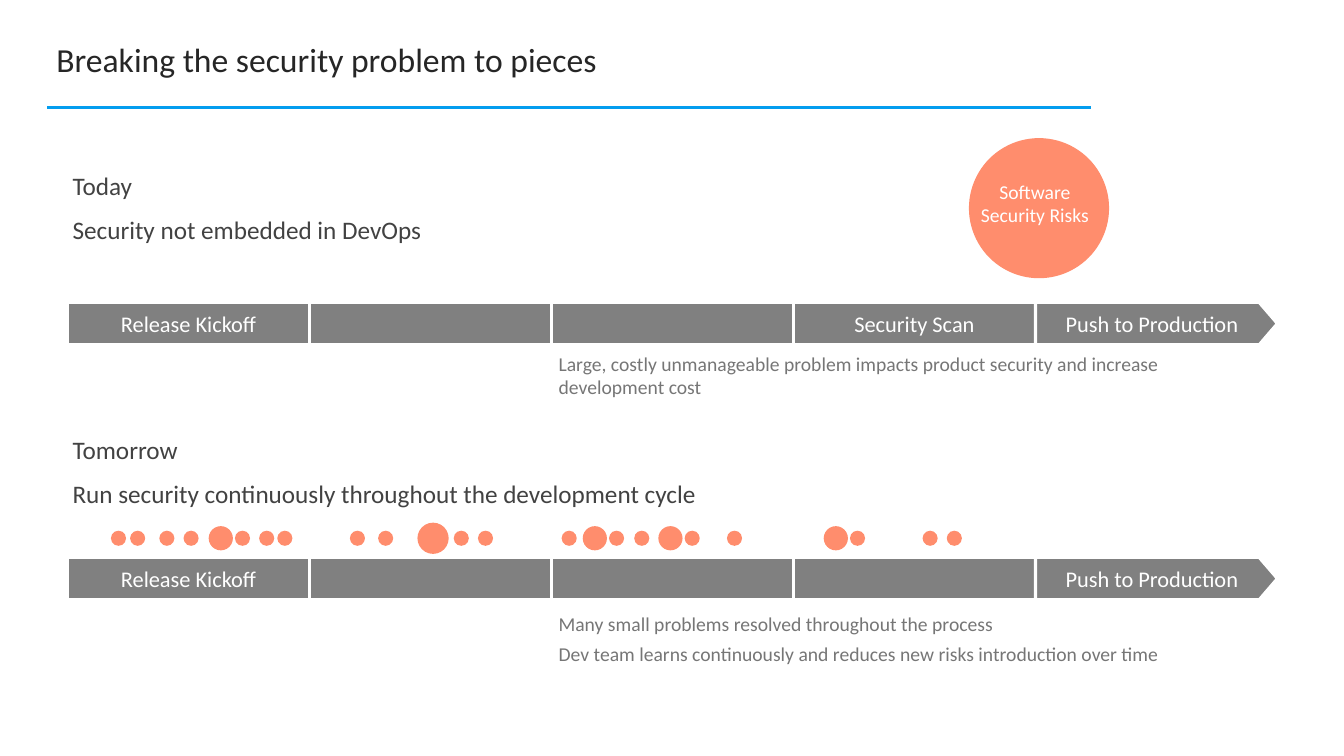
from lxml import etree
from pptx import Presentation
from pptx.dml.color import RGBColor
from pptx.enum.shapes import MSO_CONNECTOR, MSO_SHAPE
from pptx.enum.text import MSO_ANCHOR, PP_ALIGN
from pptx.oxml.ns import qn
from pptx.util import Inches, Pt

RECTANGLE, PENTAGON, OVAL = MSO_SHAPE.RECTANGLE, MSO_SHAPE.PENTAGON, MSO_SHAPE.OVAL
STRAIGHT = MSO_CONNECTOR.STRAIGHT
LEFT, CENTER = PP_ALIGN.LEFT, PP_ALIGN.CENTER
TOP, MIDDLE = MSO_ANCHOR.TOP, MSO_ANCHOR.MIDDLE

FONT = "Calibri"
WHITE, GRAY, CORAL, BLUE = "FFFFFF", "808080", "FF8D6D", "039DEF"
TITLE_COLOR, HEADING_COLOR, NOTE_COLOR = "262626", "424242", "767676"

TITLE = {"size": 24, "color": TITLE_COLOR, "line_spacing": 0.9}
HEADING = {"size": 18, "color": HEADING_COLOR, "line_spacing": 0.9,
           "space_before": 12, "margin": 0.05}
NOTE = {"size": 14, "color": NOTE_COLOR, "space_before": 5, "margin": 0.07}
STAGE = {"size": 16, "color": WHITE, "alignment": CENTER, "anchor": MIDDLE,
         "margin": 0.05}
RISK = {"size": 14, "color": WHITE, "alignment": CENTER}

STAGE_LEFT, STAGE_WIDTH, STAGE_HEIGHT = 0.67, 2.4, 0.42
TODAY_STAGES = ["Release Kickoff", "", "", "Security Scan", "Push to Production"]
TOMORROW_STAGES = ["Release Kickoff", "", "", "", "Push to Production"]

DOT_CENTER_Y = 5.34
# Left edges of the risk dots, by diameter
RISK_DOTS = {
    0.15: [1.1, 1.29, 1.58, 1.82, 2.33, 2.57, 2.75, 3.47, 3.75, 4.5, 4.74,
           5.57, 6.04, 6.29, 6.79, 7.21, 8.43, 9.15, 9.39],
    0.24: [2.07, 5.78, 6.53, 8.17],
    0.31: [4.14],
}


def rgb(color):
    return RGBColor.from_string(color)


def write_text(shape, lines, style):
    frame = shape.text_frame
    margin = Inches(style.get("margin", 0))
    frame_format = {"word_wrap": True, "vertical_anchor": style.get("anchor", TOP),
                    "margin_left": margin, "margin_right": margin,
                    "margin_top": margin, "margin_bottom": margin}
    for name, value in frame_format.items():
        setattr(frame, name, value)
    for index, line in enumerate(lines):
        paragraph = frame.add_paragraph() if index else frame.paragraphs[0]
        paragraph.text = line
        space_before = style.get("space_before", 0) if index else 0
        paragraph_format = {"alignment": style.get("alignment", LEFT),
                            "line_spacing": style.get("line_spacing", 1.0),
                            "space_before": Pt(space_before)}
        for name, value in paragraph_format.items():
            setattr(paragraph, name, value)
        for name, value in {"name": FONT, "size": Pt(style["size"])}.items():
            setattr(paragraph.font, name, value)
        paragraph.font.color.rgb = rgb(style["color"])


def add_text(slide, left, top, width, height, lines, style):
    box = slide.shapes.add_textbox(
        Inches(left), Inches(top), Inches(width), Inches(height))
    write_text(box, lines, style)


def add_filled_shape(slide, kind, left, top, width, height, fill):
    shape = slide.shapes.add_shape(
        kind, Inches(left), Inches(top), Inches(width), Inches(height))
    shape.shadow.inherit = False
    shape.fill.solid()
    shape.fill.fore_color.rgb = rgb(fill)
    shape.line.fill.background()
    return shape


def add_pipeline(slide, top, stages):
    """Draw equal stages in a row, the last one pointing right."""
    for index, label in enumerate(stages):
        is_last = index == len(stages) - 1
        stage = add_filled_shape(
            slide, PENTAGON if is_last else RECTANGLE,
            STAGE_LEFT + index * STAGE_WIDTH, top, STAGE_WIDTH, STAGE_HEIGHT, GRAY)
        stage.line.color.rgb = rgb(WHITE)
        stage.line.width = Pt(2.25)
        if is_last:
            stage.adjustments[0] = 0.43
        if label:
            write_text(stage, [label], STAGE)


def add_risk_dots(slide):
    for diameter, lefts in RISK_DOTS.items():
        for left in lefts:
            add_filled_shape(slide, OVAL, left, DOT_CENTER_Y - diameter / 2,
                             diameter, diameter, CORAL)


def add_title_rule(slide):
    rule = slide.shapes.add_connector(
        STRAIGHT, Inches(0.47), Inches(1.07), Inches(10.82), Inches(1.07))
    rule.line.color.rgb = rgb(BLUE)
    rule.line.width = Pt(2)
    etree.SubElement(rule._element.spPr, qn("a:effectLst"))


def main():
    presentation = Presentation()
    presentation.slide_width = Inches(13.33)
    presentation.slide_height = Inches(7.5)
    slide = presentation.slides.add_slide(presentation.slide_layouts[6])

    add_text(slide, 0.56, 0.43, 12, 0.36,
             ["Breaking the security problem to pieces"], TITLE)
    add_title_rule(slide)

    add_text(slide, 0.67, 1.67, 8, 0.84,
             ["Today", "Security not embedded in DevOps"], HEADING)
    add_filled_shape(slide, OVAL, 9.61, 1.37, 1.39, 1.39, CORAL)
    add_text(slide, 9.71, 1.78, 1.11, 0.71, ["Software Security Risks"], RISK)
    add_pipeline(slide, 3, TODAY_STAGES)
    add_text(slide, 5.47, 3.42, 6.62, 0.59,
             ["Large, costly unmanageable problem impacts product security "
              "and increase development cost"], NOTE)

    add_text(slide, 0.67, 4.29, 12, 0.84,
             ["Tomorrow",
              "Run security continuously throughout the development cycle"], HEADING)
    add_risk_dots(slide)
    add_pipeline(slide, 5.53, TOMORROW_STAGES)
    add_text(slide, 5.47, 6, 7.04, 0.98,
             ["Many small problems resolved throughout the process",
              "Dev team learns continuously and reduces new risks "
              "introduction over time"], NOTE)

    presentation.save("out.pptx")


if __name__ == "__main__":
    main()
